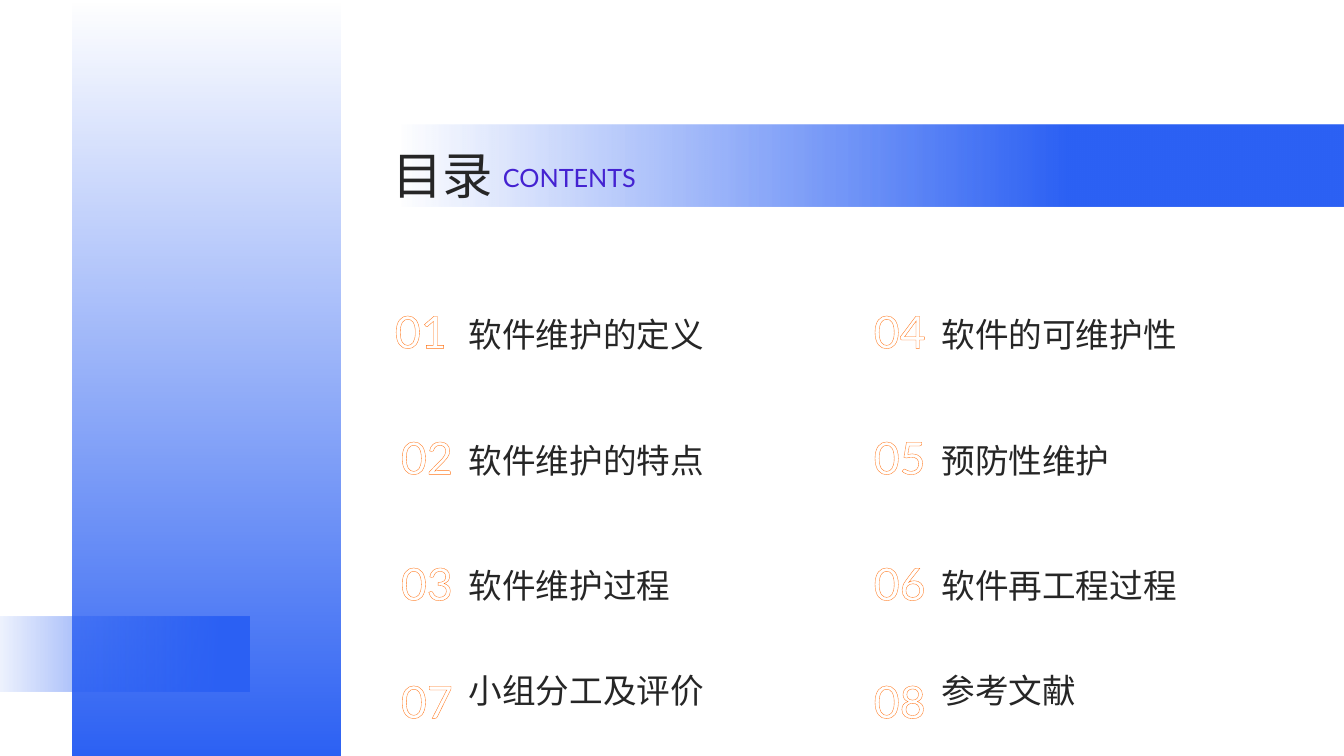
from dataclasses import dataclass

from lxml import etree
from pptx import Presentation
from pptx.dml.color import RGBColor
from pptx.enum.shapes import MSO_SHAPE
from pptx.enum.text import PP_ALIGN
from pptx.oxml.ns import qn
from pptx.util import Inches, Pt

RECTANGLE = MSO_SHAPE.RECTANGLE
LEFT, RIGHT = PP_ALIGN.LEFT, PP_ALIGN.RIGHT
DOWNWARD, RIGHTWARD = 270, 0


@dataclass(frozen=True)
class Theme:
    """Fonts, colours and type sizes of the deck."""

    font: str = "Lato"
    blue: str = "2C61F4"
    ink: str = "262626"
    violet: str = "4422D1"
    white: str = "FFFFFF"
    orange: str = "FF7619"
    title: int = 36
    subtitle: int = 18
    number: int = 32
    label: int = 24


class ContentsPage:
    """Draws the elements of a contents slide in one theme."""

    def __init__(self, page, theme):
        self.page = page
        self.theme = theme

    def fading_bar(self, left, top, width, height, angle, solid_from):
        """Add a bar that fades in from clear to solid blue."""
        bar = self.page.shapes.add_shape(
            RECTANGLE, Inches(left), Inches(top), Inches(width), Inches(height))
        bar.shadow.inherit = False
        bar.line.fill.background()
        bar.fill.gradient()
        bar.fill.gradient_angle = angle
        for stop, position in zip(bar.fill.gradient_stops, (0, solid_from)):
            stop.color.rgb = RGBColor.from_string(self.theme.blue)
            stop.position = position
        clear = next(bar._element.iter(qn("a:srgbClr")))
        etree.SubElement(clear, qn("a:alpha"), val="0")

    def text(self, left, top, width, height, lines, size, color,
             spacing=1.1, align=LEFT, gap=0, outline=None):
        """Add a text box with one paragraph per line."""
        box = self.page.shapes.add_textbox(
            Inches(left), Inches(top), Inches(width), Inches(height))
        frame = box.text_frame
        frame.word_wrap = True
        for index, line in enumerate(lines):
            para = frame.paragraphs[0] if index == 0 else frame.add_paragraph()
            para.alignment = align
            para.line_spacing = spacing
            para.space_before = Pt(gap if index else 0)
            para.font.name = self.theme.font
            para.font.size = Pt(size)
            para.font.color.rgb = RGBColor.from_string(color)
            span = para.add_run()
            span.text = line
            if outline:
                self.outline(span, outline)

    def outline(self, span, color):
        """Draw a one-point contour around the letters of a span."""
        line = etree.Element(qn("a:ln"), w=str(Pt(1)))
        fill = etree.SubElement(line, qn("a:solidFill"))
        etree.SubElement(fill, qn("a:srgbClr"), val=color)
        span._r.get_or_add_rPr().insert(0, line)

    def entry(self, left, top, width, height, numbers, labels):
        """Add outlined numbers with their chapter labels to the right."""
        theme = self.theme
        shift = 0.06 if numbers[0] == "01" else 0
        self.text(left, top, 1.2 - shift, 0.77 * len(numbers), numbers,
                  theme.number, theme.white, align=RIGHT, gap=42,
                  outline=theme.orange)
        self.text(left + 1.16, top + 0.03, width, height, labels,
                  theme.label, theme.ink, spacing=1.3, gap=37.5)


def main():
    """Build the contents slide and save the deck."""
    deck = Presentation()
    deck.slide_width, deck.slide_height = Inches(13.33), Inches(7.5)
    theme = Theme()
    contents = ContentsPage(deck.slides.add_slide(deck.slide_layouts[6]), theme)

    contents.fading_bar(0.72, 0, 2.66, 7.5, DOWNWARD, 1)
    contents.fading_bar(3.97, 1.24, 9.36, 0.81, RIGHTWARD, 0.71)
    contents.fading_bar(-0.18, 6.12, 2.66, 0.74, RIGHTWARD, 0.91)

    contents.text(3.79, 1.32, 6.31, 0.71, ["目录"], theme.title, theme.ink)
    contents.text(4.89, 1.53, 5.2, 0.33, ["CONTENTS"], theme.subtitle, theme.violet)

    columns = [
        (3.39, 3.9, [
            (["01"], ["软件维护的定义"]),
            (["02"], ["软件维护的特点"]),
            (["03", "07"], ["软件维护过程", "小组分工及评价"]),
        ]),
        (8.08, 3.37, [
            (["04"], ["软件的可维护性"]),
            (["05"], ["预防性维护"]),
            (["06", "08"], ["软件再工程过程", "参考文献"]),
        ]),
    ]
    for left, width, entries in columns:
        for row, (numbers, labels) in enumerate(entries):
            height = 1.11 if len(labels) == 1 else 1.74
            contents.entry(left, 2.91 + 1.25 * row, width, height, numbers, labels)

    deck.save("out.pptx")


if __name__ == "__main__":
    main()
